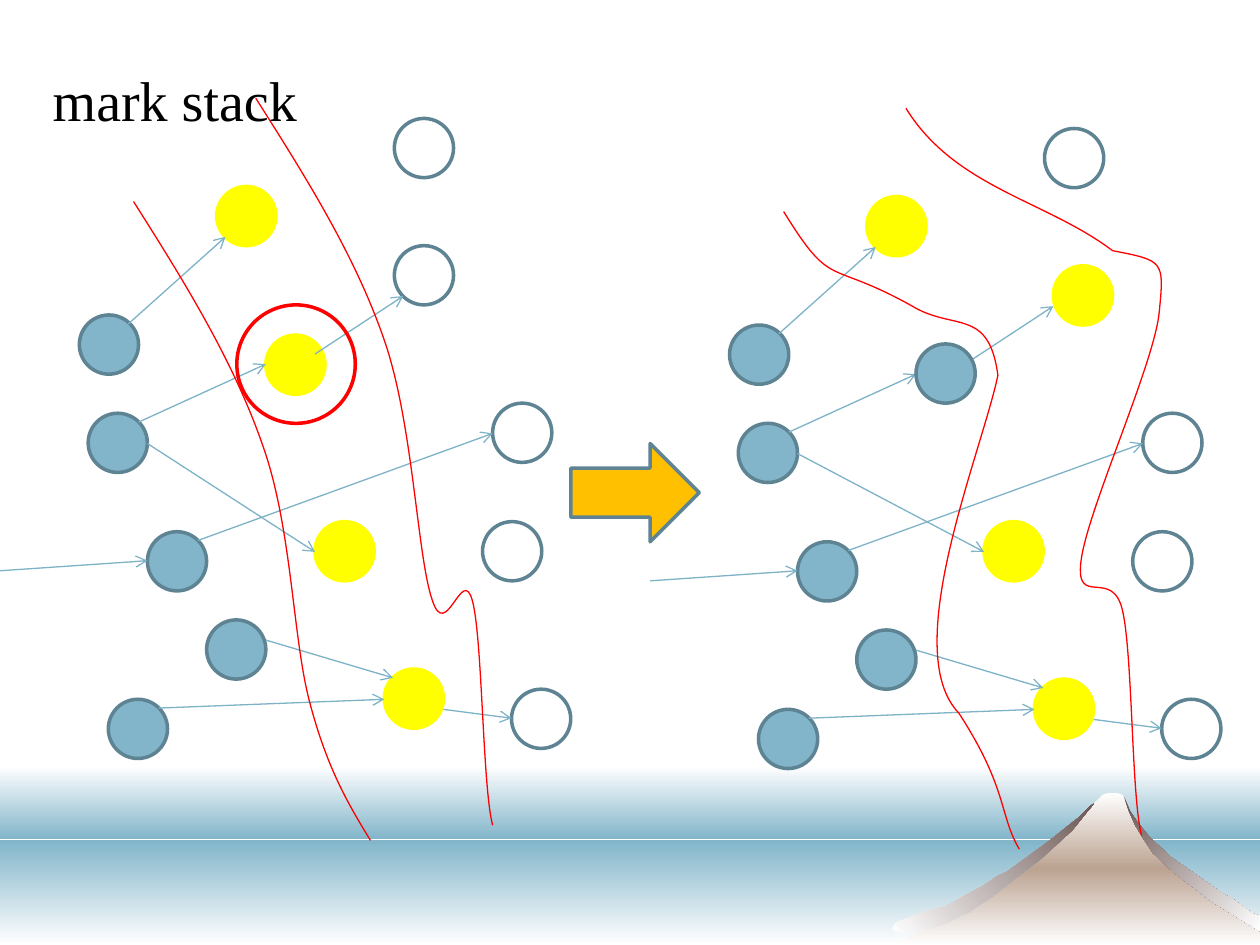
from copy import deepcopy
from dataclasses import dataclass

from pptx import Presentation
from pptx.dml.color import RGBColor
from pptx.enum.shapes import MSO_CONNECTOR, MSO_SHAPE
from pptx.enum.text import MSO_AUTO_SIZE
from pptx.oxml.ns import qn
from pptx.oxml.xmlchemy import OxmlElement
from pptx.util import Inches, Pt


@dataclass(frozen=True)
class Theme:
    white: str = "FFFFFF"
    blue: str = "82B5CA"
    outline: str = "5E8494"
    edge: str = "7DB2C7"
    yellow: str = "FFFF00"
    red: str = "FF0000"
    orange: str = "FFC000"
    sand: str = "BCA392"
    rock: str = "6B5653"
    text: str = "000000"
    font: str = "Times New Roman"
    title_size: int = 32
    thick: float = 2
    thin: float = 0.75


THEME = Theme()
NODE_SIZE = 0.47
# Node states: fill and line colours
MARKED = (THEME.blue, THEME.outline)
PENDING = (THEME.yellow, THEME.yellow)
UNSEEN = (THEME.white, THEME.outline)

# Nodes and edges found in both graphs, relative to the graph's corner
SHARED_NODES = {
    MARKED: [(0.63, 2.5), (0.7, 3.28), (1.17, 4.22), (0.86, 5.55), (1.64, 4.92)],
    PENDING: [(1.72, 1.48), (3.05, 5.31)],
    UNSEEN: [(3.13, 0.94), (3.91, 3.2), (3.83, 4.14), (4.06, 5.47)],
}
SHARED_EDGES = [
    ((1.02, 2.57), (1.79, 1.88)), ((1.1, 3.35), (2.11, 2.89)),
    ((1.57, 4.29), (3.91, 3.44)), ((1.26, 5.62), (3.05, 5.55)),
    ((0, 4.53), (1.17, 4.45)), ((2.11, 5.08), (3.12, 5.38)),
    ((3.52, 5.63), (4.06, 5.7)), ((2.5, 2.81), (3.2, 2.35)),
]
BRANCH_START = (1.17, 3.52)

# Front curves: a start point, then two controls and an end per segment
FRONTS_BEFORE = [
    [(1.06, 1.6), (1.46, 2.23), (1.85, 2.86), (2.08, 3.52), (2.32, 4.18),
     (2.32, 5.06), (2.46, 5.58), (2.6, 6.11), (2.77, 6.39), (2.94, 6.67)],
    [(2.03, 0.78), (2.43, 1.41), (2.82, 2.03), (3.05, 2.7), (3.28, 3.36),
     (3.31, 4.41), (3.43, 4.76), (3.54, 5.11), (3.67, 4.47), (3.75, 4.77),
     (3.83, 5.07), (3.83, 6.25), (3.91, 6.55)],
]
FRONTS_AFTER = [
    [(1.06, 1.6), (1.45, 2.23), (1.4, 1.97), (2.08, 2.35), (2.41, 2.55),
     (2.69, 2.36), (2.76, 2.9), (2.63, 3.52), (1.97, 5.08), (2.45, 5.58),
     (2.84, 6.18), (2.77, 6.39), (2.93, 6.66)],
    [(2.03, 0.78), (2.42, 1.41), (3.14, 1.51), (3.67, 1.91), (4.08, 1.99),
     (4.08, 1.99), (4.04, 2.4), (4, 2.81), (3.47, 3.97), (3.42, 4.37),
     (3.37, 4.76), (3.67, 4.41), (3.75, 4.77), (3.83, 5.13), (3.82, 6.25),
     (3.9, 6.55)],
]

# Mountain outlines, relative to the corner of the scenery
PEAK = [
    (7.11, 1.42), (7.9, 0.97), (8.4, 0.58), (8.69, 0.29), (8.75, 0.23),
    (8.8, 0.21), (8.86, 0.21), (8.91, 0.23), (9.03, 0.49), (9.22, 0.72),
    (9.68, 1.04), (10, 1.25), (10, 1.42),
]
RIGHT_RIDGE = [
    (9.15, 0.69), (9.31, 0.84), (9.48, 0.97), (9.61, 1.07), (9.9, 1.25),
    (10, 1.31), (10, 1.19), (9.94, 1.17), (9.79, 1.06), (9.7, 1.01),
    (9.29, 0.72), (9.12, 0.56), (9.04, 0.46), (8.97, 0.36), (8.92, 0.24),
    (8.96, 0.36), (9.01, 0.47), (9.07, 0.57),
]
LEFT_RIDGE = [
    (8.32, 0.6), (7.99, 0.84), (7.92, 0.87), (7.82, 0.94), (7.51, 1.11),
    (7.35, 1.15), (7.2, 1.21), (7.12, 1.24), (7.09, 1.27), (7.08, 1.29),
    (7.1, 1.31), (7.14, 1.32), (7.2, 1.33), (7.3, 1.31), (7.39, 1.29),
    (7.5, 1.25), (7.69, 1.16), (7.86, 1.05), (8.27, 0.73), (8.51, 0.51),
    (8.64, 0.35), (8.68, 0.3), (8.65, 0.32), (8.56, 0.41),
]


def rgb(color):
    return RGBColor.from_string(color)


def style(shape, fill=None, line=None, width=THEME.thick):
    shape.shadow.inherit = False
    if fill:
        shape.fill.solid()
        shape.fill.fore_color.rgb = rgb(fill)
    else:
        shape.fill.background()
    if line:
        shape.line.color.rgb = rgb(line)
        shape.line.width = Pt(width)
    else:
        shape.line.fill.background()


def fill_gradient(shape, colors, angle):
    """Spread the colours evenly; the angle runs counter-clockwise."""
    style(shape)
    shape.fill.gradient()
    shape.fill.gradient_angle = angle
    stop_list = shape._element.spPr.find(qn("a:gradFill")).find(qn("a:gsLst"))
    for _ in colors[2:]:
        stop_list.append(deepcopy(stop_list[0]))
    for index, (stop, color) in enumerate(zip(shape.fill.gradient_stops, colors)):
        stop.color.rgb = rgb(color)
        stop.position = index / (len(colors) - 1)


def add_preset(shapes, kind, left, top, width, height):
    return shapes.add_shape(kind, Inches(left), Inches(top), Inches(width), Inches(height))


def add_outline(shapes, left, top, points, close):
    start, *rest = [(Inches(left + x), Inches(top + y)) for x, y in points]
    builder = shapes.build_freeform(*start)
    builder.add_line_segments(rest, close=close)
    return builder.convert_to_shape()


def add_curve(shapes, left, top, points):
    shape = add_outline(shapes, left, top, points, close=False)
    style(shape, line=THEME.red, width=THEME.thin)
    # Each three line steps become one cubic curve
    steps = list(shape._element.iter(qn("a:lnTo")))
    for first in range(0, len(steps), 3):
        curve = OxmlElement("a:cubicBezTo")
        steps[first].addprevious(curve)
        for step in steps[first:first + 3]:
            curve.append(step[0])
            step.getparent().remove(step)


def add_node(shapes, left, top, state):
    style(add_preset(shapes, MSO_SHAPE.OVAL, left, top, NODE_SIZE, NODE_SIZE), *state)


def add_edge(shapes, left, top, start, end):
    ends = [Inches(value) for x, y in (start, end) for value in (left + x, top + y)]
    edge = shapes.add_connector(MSO_CONNECTOR.STRAIGHT, *ends)
    edge.line.color.rgb = rgb(THEME.edge)
    edge.line.width = Pt(THEME.thin)
    tail = OxmlElement("a:tailEnd")
    tail.set("type", "arrow")
    edge.line._get_or_add_ln().append(tail)
    edge._element.spPr.append(OxmlElement("a:effectLst"))


def add_scenery(slide, left, top, width):
    shapes = slide.shapes.add_group_shape().shapes
    # Sky and water bands
    sky = add_preset(shapes, MSO_SHAPE.RECTANGLE, left, top, width, 0.58)
    fill_gradient(sky, [THEME.white, THEME.blue], 270)
    water = add_preset(shapes, MSO_SHAPE.RECTANGLE, left, top + 0.59, width, 0.83)
    fill_gradient(water, [THEME.blue, THEME.white], 270)
    # Mountain
    for points, colors, angle in [
        (PEAK, [THEME.white, THEME.sand, THEME.white], 270),
        (RIGHT_RIDGE, [THEME.rock, THEME.white], 315),
        (LEFT_RIDGE, [THEME.white, THEME.rock], 45),
    ]:
        fill_gradient(add_outline(shapes, left, top, points, close=True), colors, angle)


def add_graph(slide, left, top, nodes, branch_end, fronts, top_nodes=()):
    shapes = slide.shapes
    shared = [(x, y, state) for state, spots in SHARED_NODES.items() for x, y in spots]
    for x, y, state in shared + nodes:
        add_node(shapes, left + x, top + y, state)
    for start, end in SHARED_EDGES + [(BRANCH_START, branch_end)]:
        add_edge(shapes, left, top, start, end)
    for points in fronts:
        add_curve(shapes, left, top, points)
    for x, y, state in top_nodes:
        add_node(shapes, left + x, top + y, state)


def add_title(slide, left, top, width, height):
    box = slide.shapes.add_textbox(Inches(left), Inches(top), Inches(width), Inches(height))
    box.text_frame.word_wrap = False
    box.text_frame.auto_size = MSO_AUTO_SIZE.SHAPE_TO_FIT_TEXT
    run = box.text_frame.paragraphs[0].add_run()
    run.text = "mark stack"
    run.font.name = THEME.font
    run.font.size = Pt(THEME.title_size)
    run.font.color.rgb = rgb(THEME.text)


def main():
    presentation = Presentation()
    presentation.slide_width, presentation.slide_height = Inches(10), Inches(7.5)
    slide = presentation.slides.add_slide(presentation.slide_layouts[6])
    add_scenery(slide, 0, 6.08, 10)
    # Graph before and after the step
    add_graph(slide, 0, 0,
              [(2.11, 2.66, PENDING), (2.5, 4.14, PENDING), (3.13, 1.95, UNSEEN)],
              (2.5, 4.38), FRONTS_BEFORE)
    add_graph(slide, 5.16, 0.08, [(2.65, 4.06, PENDING)], (2.65, 4.3), FRONTS_AFTER,
              [(2.11, 2.65, MARKED), (3.2, 2.03, PENDING)])
    # Ring around the node being visited
    style(add_preset(slide.shapes, MSO_SHAPE.OVAL, 1.88, 2.42, 0.94, 0.94), line=THEME.red)
    add_title(slide, 0.32, 0.47, 2.14, 0.64)
    # Step arrow
    arrow = add_preset(slide.shapes, MSO_SHAPE.RIGHT_ARROW, 4.53, 3.52, 1.02, 0.78)
    style(arrow, THEME.orange, THEME.outline)
    presentation.save("out.pptx")


if __name__ == "__main__":
    main()
